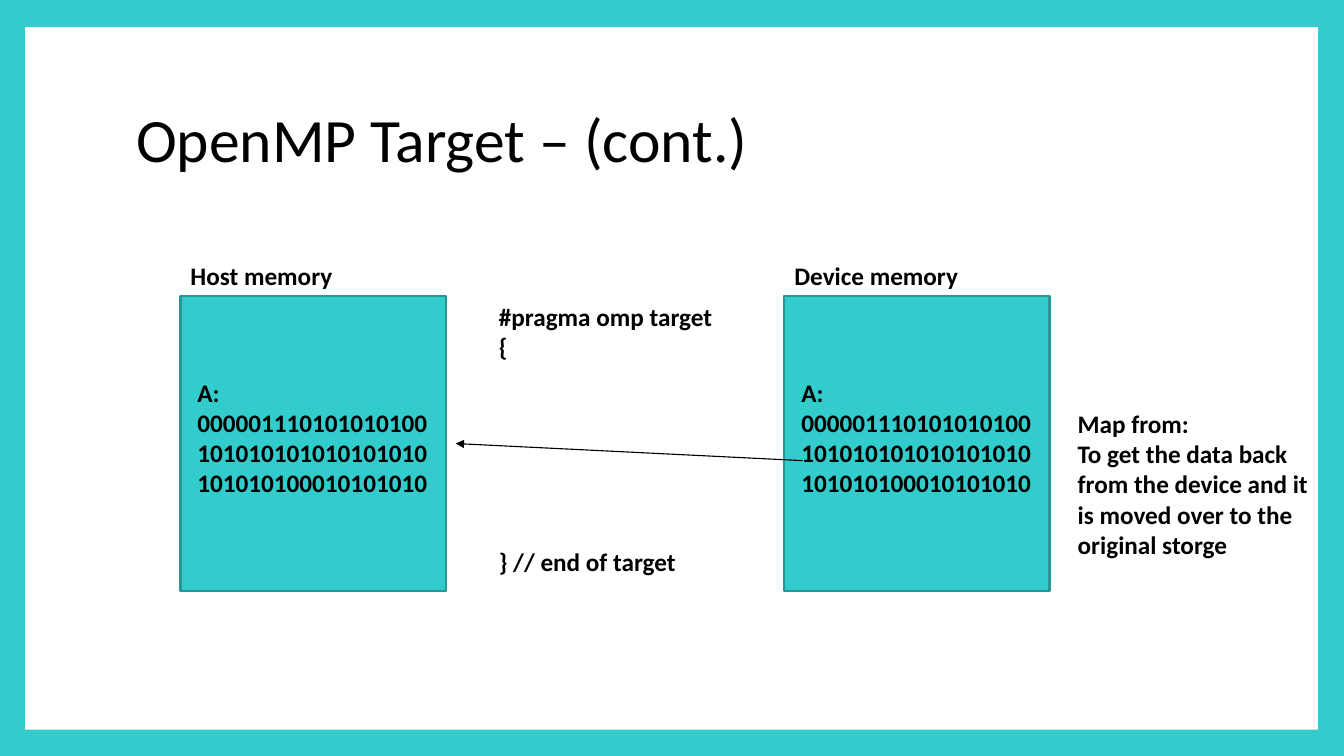
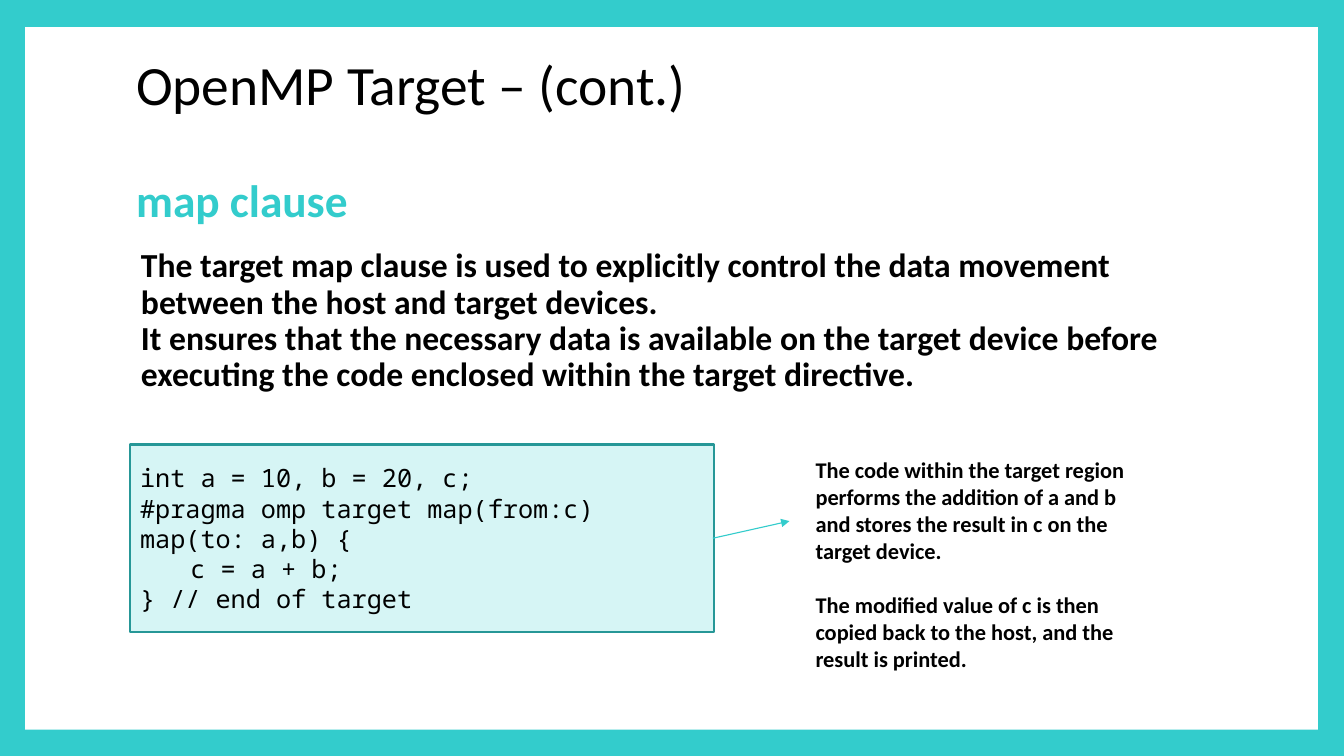
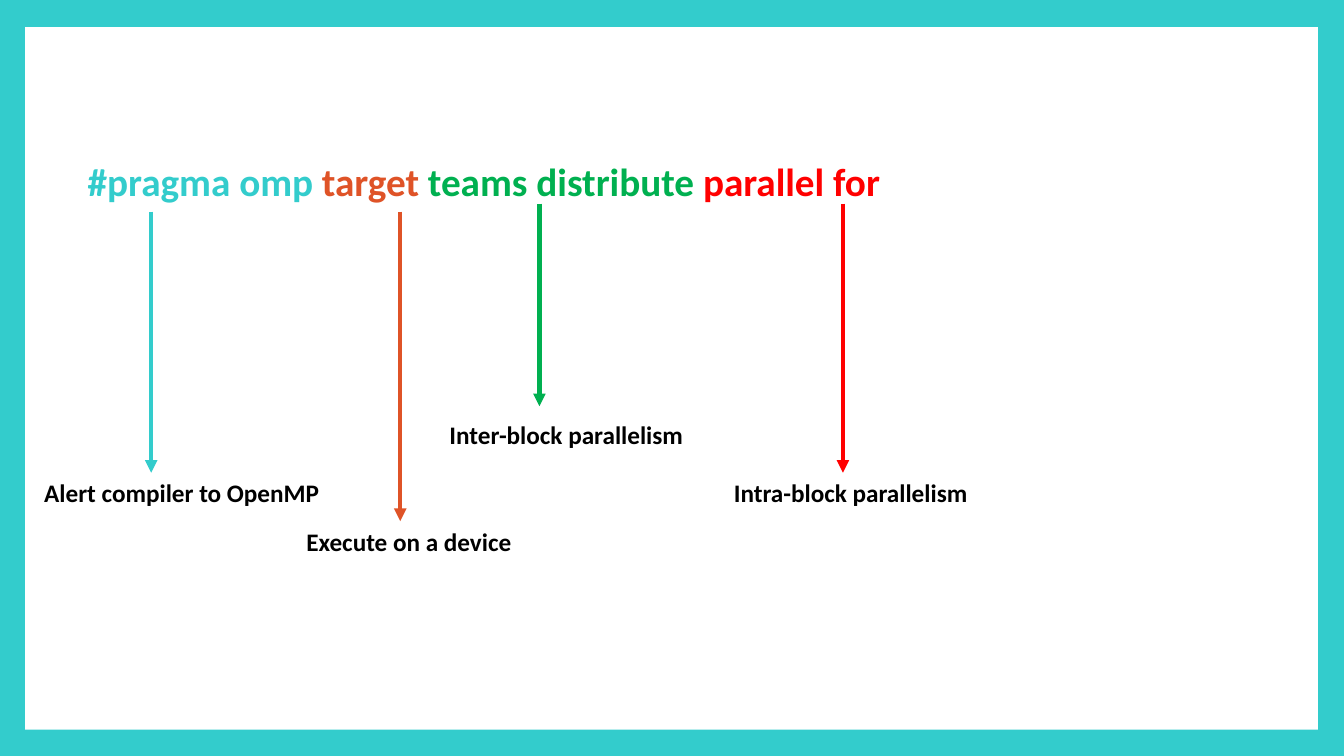
from dataclasses import dataclass

from lxml.etree import SubElement
from pptx import Presentation
from pptx.dml.color import RGBColor
from pptx.enum.shapes import MSO_CONNECTOR as Connector, MSO_SHAPE as Shape
from pptx.enum.text import MSO_ANCHOR as Anchor, MSO_AUTO_SIZE as AutoSize, PP_ALIGN as Align
from pptx.oxml.ns import qn
from pptx.util import Inches, Pt


@dataclass(frozen=True)
class Theme:
    teal: str = "33CCCC"
    dark_teal: str = "269797"
    pale_teal: str = "D6F5F5"
    white: str = "FFFFFF"
    black: str = "000000"
    orange: str = "DF5327"
    green: str = "00B050"
    red: str = "FF0000"
    font: str = "Calibri"
    code_font: str = "Noto Sans Mono"
    title: float = 44
    small_title: float = 39.6
    subtitle: float = 32.4
    pragma: float = 28
    body: float = 24
    label: float = 18
    note: float = 16
    thin: float = 0.79
    outline: float = 1.5
    thick: float = 3


@dataclass
class Run:
    text: str
    color: str = None
    size: float = None
    bold: bool = None


@dataclass
class Para:
    runs: list
    gap: float = 0      # points above the paragraph
    indent: float = 0   # inches


THEME = Theme()


def rgb(color):
    return RGBColor.from_string(color)


def write(frame, *paragraphs, size=THEME.label, font=THEME.font, color=THEME.black,
          bold=True, spacing=1.0, anchor=Anchor.TOP):
    """Fill a text frame with strings or Para objects in one format."""
    frame.word_wrap = True
    frame.auto_size = AutoSize.NONE
    frame.vertical_anchor = anchor
    for number, content in enumerate(paragraphs):
        para = content if isinstance(content, Para) else Para([Run(content)])
        line = frame.add_paragraph() if number else frame.paragraphs[0]
        line.alignment = Align.LEFT
        line.line_spacing = spacing
        line.space_before = Pt(para.gap)
        if para.indent:
            line._p.get_or_add_pPr().set("marL", str(Inches(para.indent)))
        for part in para.runs:
            run = line.add_run()
            run.text = part.text
            run.font.name = font
            run.font.size = Pt(part.size or size)
            run.font.bold = bold if part.bold is None else part.bold
            run.font.color.rgb = rgb(part.color or color)


class Deck:
    """Holds the style and the slide being built."""

    def __init__(self, theme):
        self.theme = theme
        self.prs = Presentation()
        self.prs.slide_width, self.prs.slide_height = Inches(13.33), Inches(7.5)
        background = self.prs.slide_master.background.fill
        background.solid()
        background.fore_color.rgb = rgb(theme.teal)
        self.slide = None

    def new_slide(self, *title, left=1.25, top=0.67, **fmt):
        self.slide = self.prs.slides.add_slide(self.prs.slide_layouts[5])
        # White panel behind everything else
        panel = self.box(0.25, 0.27, 12.82, 6.97, self.theme.white)
        self.slide.shapes.element.insert(2, panel.element)
        heading = self.slide.shapes.title
        heading.left, heading.top = Inches(left), Inches(top)
        heading.width, heading.height = Inches(10.8), Inches(1.48)
        write(heading.text_frame, *title, spacing=0.9, anchor=Anchor.MIDDLE, **fmt)

    def box(self, left, top, width, height, fill, outline=None):
        box = self.slide.shapes.add_shape(
            Shape.RECTANGLE, Inches(left), Inches(top), Inches(width), Inches(height))
        box.shadow.inherit = False
        box.fill.solid()
        box.fill.fore_color.rgb = rgb(fill)
        if outline:
            box.line.color.rgb = rgb(outline)
            box.line.width = Pt(self.theme.outline)
        else:
            box.line.fill.background()
        return box

    def text(self, left, top, width, height, *paragraphs, **fmt):
        area = self.slide.shapes.add_textbox(
            Inches(left), Inches(top), Inches(width), Inches(height))
        write(area.text_frame, *paragraphs, **fmt)

    def arrow(self, x1, y1, x2, y2, color, width):
        arrow = self.slide.shapes.add_connector(
            Connector.STRAIGHT, Inches(x1), Inches(y1), Inches(x2), Inches(y2))
        arrow.line.color.rgb = rgb(color)
        arrow.line.width = Pt(width)
        properties = arrow.element.spPr
        SubElement(properties.find(qn("a:ln")), qn("a:tailEnd"), type="triangle")
        SubElement(properties, qn("a:effectLst"))


def memory_slide(deck):
    theme = deck.theme
    deck.new_slide("OpenMP Target – (cont.)", size=theme.title, bold=False)

    # Host and device memory
    bits = "A: 000001110101010100101010101010101010101010100010101010"
    for left, name in ((1.79, "Host memory"), (7.78, "Device memory")):
        deck.box(left, 2.94, 2.63, 2.92, theme.teal, theme.dark_teal)
        deck.text(left, 2.53, 2.49, 0.4, name)
        deck.text(left + 0.07, 3.69, 2.49, 1.31, bits)

    # Target region and the copy back to the host
    deck.text(4.85, 2.94, 2.49, 2.83, "#pragma omp target", "{",
              Para([Run("} // end of target")], gap=132))
    deck.text(10.59, 4, 2.49, 1.62, "Map from:",
              "To get the data back from the device and it is moved over "
              "to the original storge")
    deck.arrow(7.96, 4.57, 4.52, 4.4, theme.black, theme.thin)


def map_clause_slide(deck):
    theme = deck.theme
    deck.new_slide(
        "OpenMP Target – (cont.)",
        Para([Run("map clause", theme.teal, theme.subtitle, True)], gap=43.5),
        size=theme.small_title, bold=False)

    # Explanation
    deck.text(1.3, 2.42, 10.75, 1.6,
              "The target map clause is used to explicitly control the data movement "
              "between the host and target devices.",
              "It ensures that the necessary data is available on the target device "
              "before executing the code enclosed within the target directive.",
              size=theme.body, spacing=0.9)

    # Code sample
    code = deck.box(1.29, 4.41, 5.79, 1.86, theme.pale_teal, theme.dark_teal)
    write(code.text_frame,
          "int a = 10, b = 20, c;",
          "#pragma omp target map(from:c) map(to: a,b) {",
          Para([Run("c = a + b;")], indent=0.5),
          "} // end of target",
          font=theme.code_font, bold=False, anchor=Anchor.MIDDLE)

    # Remark on the code
    deck.arrow(7.07, 5.34, 7.83, 5.17, theme.teal, theme.thin)
    deck.text(7.99, 4.48, 3.41, 2.28,
              "The code within the target region performs the addition of a and "
              "b and stores the result in c on the target device.",
              Para([Run("The modified value of c is then copied back to the host, "
                        "and the result is printed.")], gap=19.5),
              size=theme.note)


def directive_slide(deck):
    theme = deck.theme
    deck.new_slide(
        Para([Run("#pragma omp ", theme.teal), Run("target ", theme.orange),
              Run("teams distribute ", theme.green), Run("parallel for", theme.red)]),
        left=0.77, top=1.08, size=theme.pragma)

    # Meaning of each part: arrow x, start, end, label left, label top
    meanings = (
        ("Alert compiler to OpenMP", theme.teal, 1.5, 2.1, 4.69, 0.34, 4.69),
        ("Execute on a device", theme.orange, 3.97, 2.1, 5.17, 2.94, 5.17),
        ("Inter-block parallelism", theme.green, 5.35, 2.02, 4.03, 4.36, 4.11),
        ("Intra-block parallelism", theme.red, 8.36, 2.02, 4.69, 7.18, 4.69),
    )
    for meaning, color, x, start, end, left, top in meanings:
        deck.arrow(x, start, x, end, color, theme.thick)
        deck.text(left, top, 3.06, 0.4, meaning)


def main():
    deck = Deck(THEME)
    memory_slide(deck)
    map_clause_slide(deck)
    directive_slide(deck)
    deck.prs.save("out.pptx")


if __name__ == "__main__":
    main()
